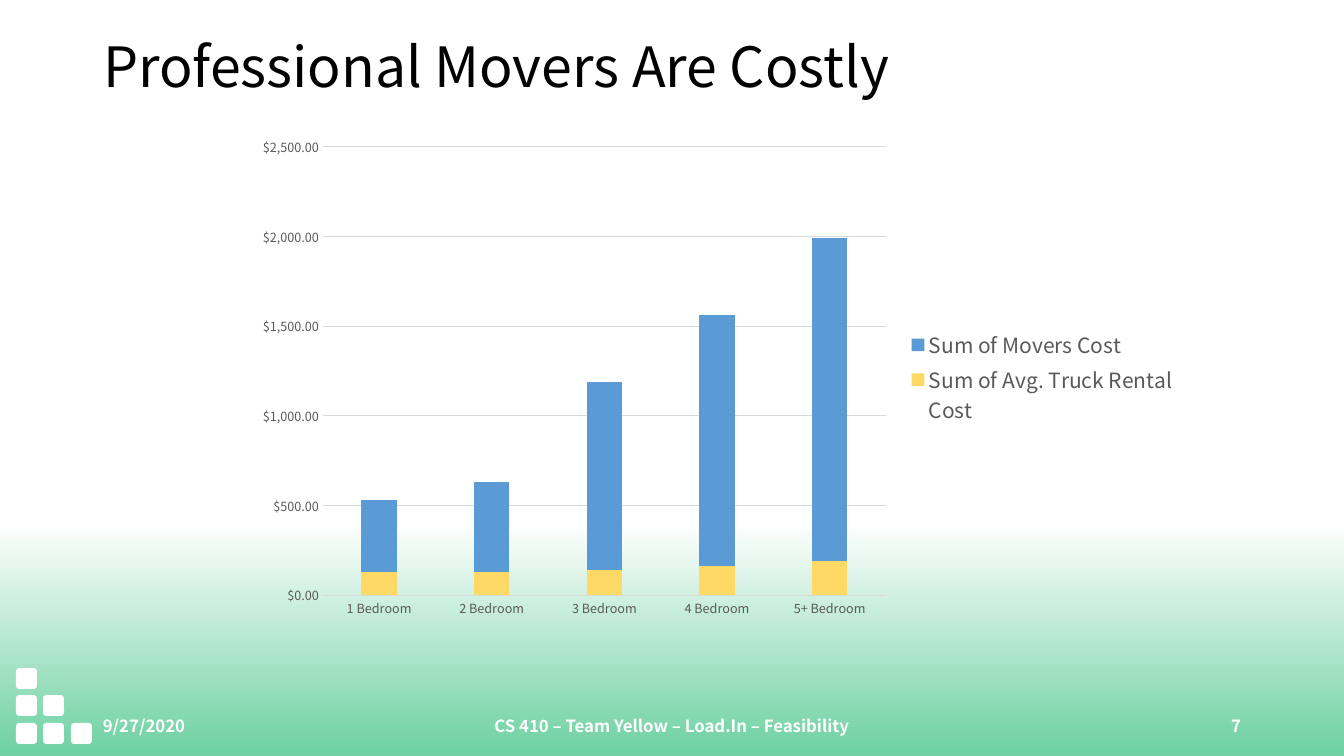
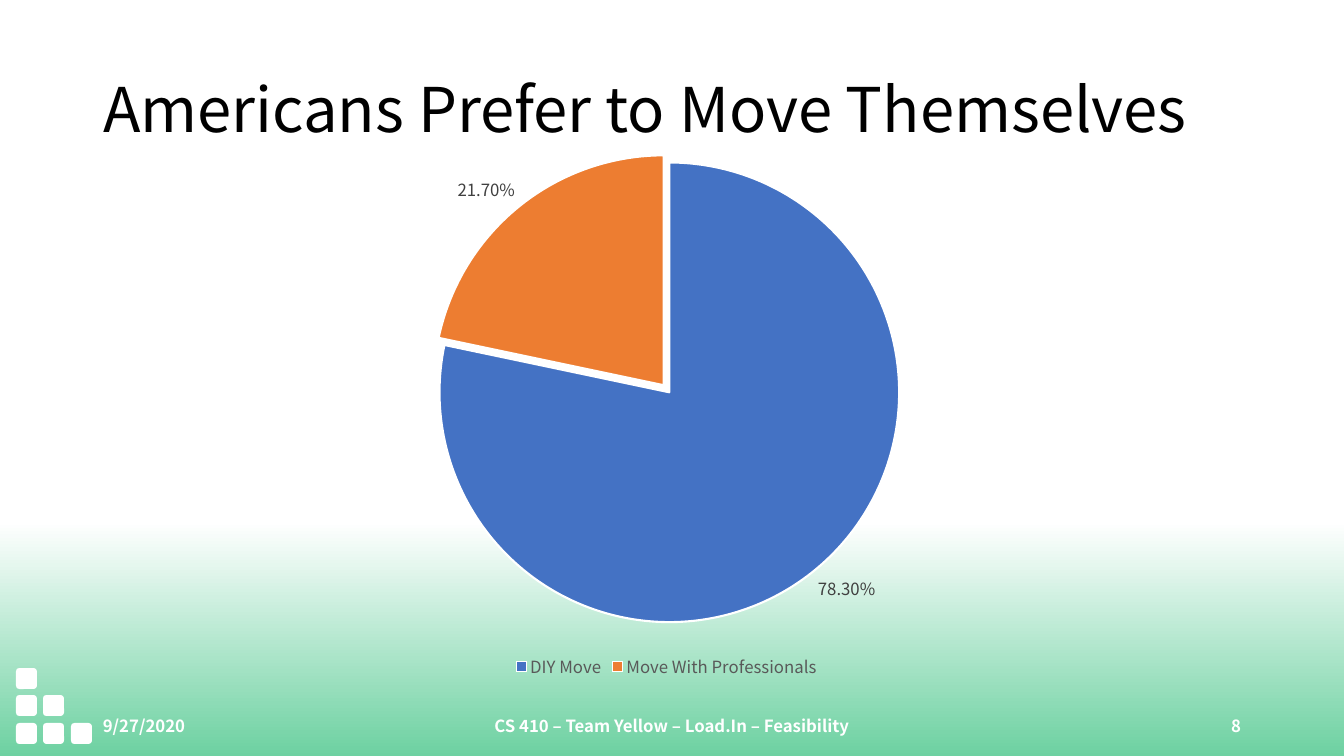
import pptx
import pptx.chart.data
import pptx.dml.color
import pptx.enum.chart
import pptx.enum.shapes
import pptx.enum.text
import pptx.oxml
import pptx.oxml.ns
import pptx.util

PX = 9525 * 96 / 100.8
RGB = pptx.dml.color.RGBColor.from_string
XL = pptx.enum.chart
PP_ALIGN = pptx.enum.text.PP_ALIGN


class Theme:
    font = "Noto Sans CJK KR"
    green, white, black = "6DD1A1", "FFFFFF", "000000"
    grey, label, rule = "595959", "404040", "D9D9D9"
    truck, movers = "FFD966", "5B9BD5"
    diy, professionals = "4472C4", "ED7D31"
    title_small, title, footer = 39.6, 44, 12
    axis, legend, legend_large = 9, 12, 15


def px(*lengths):
    return [pptx.util.Emu(round(n * PX)) for n in lengths]


def write(sp, text, box, size, color, bold=False, align=PP_ALIGN.LEFT, spacing=1.0):
    sp.left, sp.top, sp.width, sp.height = px(*box)
    tf = sp.text_frame
    tf.word_wrap = True
    tf.auto_size = pptx.enum.text.MSO_AUTO_SIZE.NONE
    tf.vertical_anchor = pptx.enum.text.MSO_ANCHOR.MIDDLE
    p = tf.paragraphs[0]
    p.alignment = align
    p.line_spacing = spacing
    r = p.add_run()
    r.text = text
    r.font.name = Theme.font
    r.font.size = pptx.util.Pt(size)
    r.font.bold = bold
    r.font.color.rgb = RGB(color)


prs = pptx.Presentation()
prs.slide_width, prs.slide_height = px(1344, 756)

fill = prs.slide_master.background.fill
fill.gradient()
fill.gradient_angle = 90
for stop, position, color in zip(fill.gradient_stops, (0, 0.31), (Theme.green, Theme.white)):
    stop.position = position
    stop.color.rgb = RGB(color)

cost = pptx.chart.data.CategoryChartData(number_format='"$"#,##0.00')
cost.categories = ["1 Bedroom", "2 Bedroom", "3 Bedroom", "4 Bedroom", "5+ Bedroom"]
cost.add_series("Sum of Avg. Truck Rental Cost", [130, 130, 140, 160, 190])
cost.add_series("Sum of Movers Cost", [400, 500, 1050, 1400, 1800])

share = pptx.chart.data.CategoryChartData(number_format="0.00%")
share.categories = ["DIY Move", "Move With Professionals"]
share.add_series("Series 1", [0.783, 0.217])

pages = [
    ("Professional Movers Are Costly", Theme.title_small, (93, 40, 1159, 59),
     XL.XL_CHART_TYPE.COLUMN_STACKED, cost, (244, 128, 944, 499),
     XL.XL_LEGEND_POSITION.RIGHT, Theme.legend_large),
    ("Americans Prefer to Move Themselves", Theme.title, (93, 40, 1159, 146),
     XL.XL_CHART_TYPE.PIE, share, (46, 135, 1241, 548),
     XL.XL_LEGEND_POSITION.BOTTOM, Theme.legend),
]
columns, rows = (16, 43, 71), (668, 695, 723)
charts = []

for number, page in enumerate(pages, 7):
    title, title_size, title_box, kind, data, chart_box, legend_at, legend_size = page
    s = prs.slides.add_slide(prs.slide_layouts[5])
    for row, top in enumerate(rows):
        for left in columns[:row + 1]:
            sp = s.shapes.add_shape(
                pptx.enum.shapes.MSO_SHAPE.ROUNDED_RECTANGLE, *px(left, top, 21, 21))
            sp.shadow.inherit = False
            sp.fill.solid()
            sp.fill.fore_color.rgb = RGB(Theme.white)
            sp.line.fill.background()

    write(s.shapes.title, title, title_box, title_size, Theme.black, spacing=0.9)
    for text, left, width, align in (
        ("9/27/2020", 93, 302, PP_ALIGN.LEFT),
        ("CS 410 – Team Yellow – Load.In – Feasibility", 445, 454, PP_ALIGN.CENTER),
        (str(number), 949, 302, PP_ALIGN.RIGHT),
    ):
        write(s.shapes.add_textbox(0, 0, 0, 0), text, (left, 696, width, 60),
              Theme.footer, Theme.white, bold=True, align=align)

    chart = s.shapes.add_chart(kind, *px(*chart_box), data).chart
    chart.has_title = False
    chart.font.name = Theme.font
    chart.font.size = pptx.util.Pt(Theme.axis)
    chart.font.color.rgb = RGB(Theme.grey)
    chart.has_legend = True
    chart.legend.position = legend_at
    chart.legend.include_in_layout = False
    chart.legend.font.name = Theme.font
    chart.legend.font.size = pptx.util.Pt(legend_size)
    chart.legend.font.color.rgb = RGB(Theme.grey)
    chart.plots[0].vary_by_categories = kind == XL.XL_CHART_TYPE.PIE
    charts.append(chart)

bars, pie = charts

plot = bars.plots[0]
plot.gap_width = 219
plot.overlap = 100
for series, color in zip(plot.series, (Theme.truck, Theme.movers)):
    series.format.fill.solid()
    series.format.fill.fore_color.rgb = RGB(color)

value_axis, category_axis = bars.value_axis, bars.category_axis
value_axis.minimum_scale, value_axis.maximum_scale, value_axis.major_unit = 0, 2500, 500
value_axis.format.line.fill.background()
for axis in (value_axis, category_axis):
    axis.major_tick_mark = XL.XL_TICK_MARK.NONE
for line in (value_axis.major_gridlines.format.line, category_axis.format.line):
    line.color.rgb = RGB(Theme.rule)
    line.width = pptx.util.Pt(0.75)

plot = pie.plots[0]
series = plot.series[0]
for i, color in enumerate((Theme.diy, Theme.professionals)):
    point = series.points[i].format
    point.fill.solid()
    point.fill.fore_color.rgb = RGB(color)
    point.line.color.rgb = RGB(Theme.white)
    point.line.width = pptx.util.Pt(1.5)
explosion = pptx.oxml.parse_xml(
    '<c:explosion %s val="2"/>' % pptx.oxml.ns.nsdecls("c"))
series.points[0].format
series._element.find(pptx.oxml.ns.qn("c:dPt")).addprevious(explosion)

plot.has_data_labels = True
labels = plot.data_labels
labels.show_value = True
labels.show_percentage = False
labels.number_format = "0.00%"
labels.number_format_is_linked = False
labels.position = XL.XL_LABEL_POSITION.OUTSIDE_END
labels.font.name = Theme.font
labels.font.size = pptx.util.Pt(Theme.legend)
labels.font.color.rgb = RGB(Theme.label)

prs.save("out.pptx")
